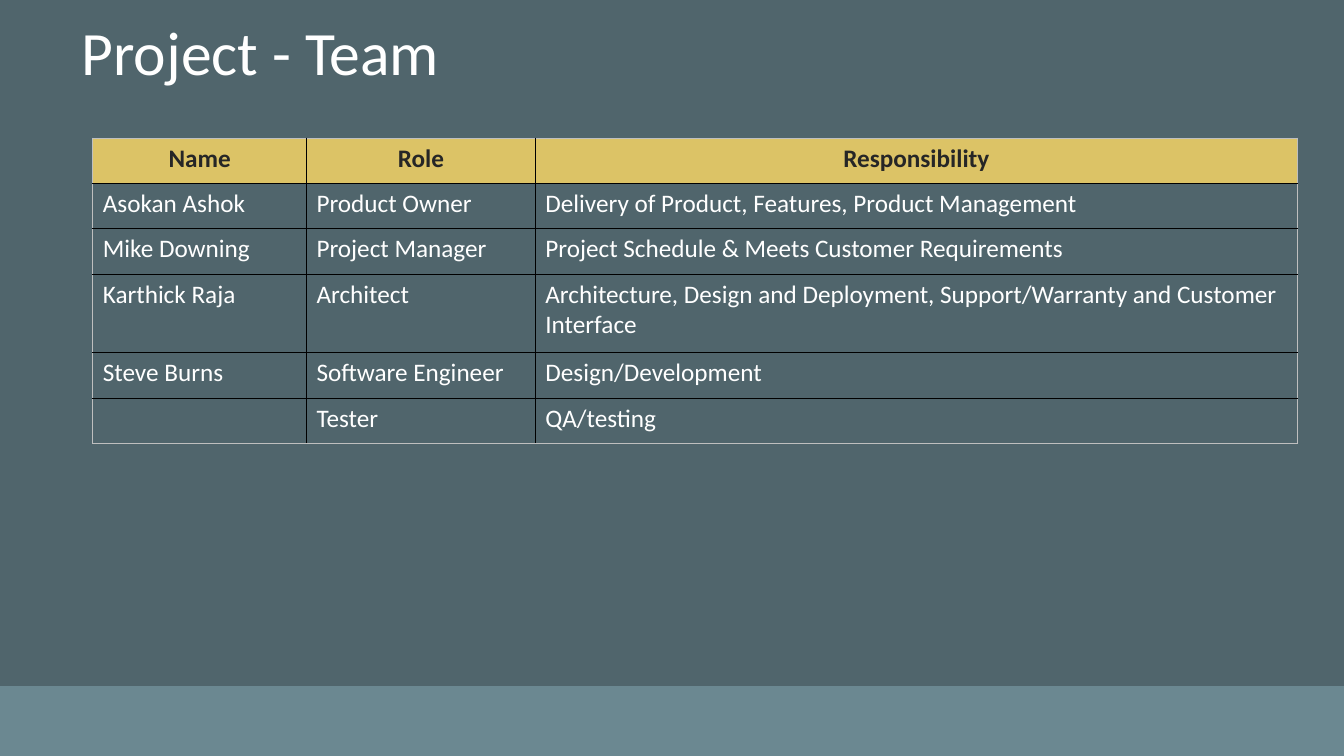
from lxml.etree import SubElement
from pptx import Presentation
from pptx.dml.color import RGBColor
from pptx.enum.shapes import MSO_SHAPE
from pptx.enum.text import MSO_ANCHOR, PP_ALIGN
from pptx.oxml.ns import qn
from pptx.util import Inches, Pt

COLORS = {
    "background": "50656C",
    "band": "6B8891",
    "header": "DCC366",
    "header_text": "262626",
    "text": "FFFFFF",
    "grid": "000000",
    "frame": "BFBFBF",
}
FONT = "Calibri"
COLUMN_WIDTHS = [2.12, 2.27, 7.56]
ROW_HEIGHTS = [0.45, 0.45, 0.45, 0.78, 0.45, 0.45]
TEAM = [
    ["Name", "Role", "Responsibility"],
    ["Asokan Ashok", "Product Owner", "Delivery of Product, Features, Product Management"],
    ["Mike Downing", "Project Manager", "Project Schedule & Meets Customer Requirements"],
    ["Karthick Raja", "Architect",
     "Architecture, Design and Deployment, Support/Warranty and Customer Interface"],
    ["Steve Burns", "Software Engineer", "Design/Development"],
    ["", "Tester", "QA/testing"],
]


def rgb(name):
    """Return the named colour."""
    return RGBColor.from_string(COLORS[name])


def set_text(tf, text, size=18, color="text", bold=False, align=PP_ALIGN.LEFT):
    """Write one formatted paragraph into a text frame."""
    p = tf.paragraphs[0]
    p.alignment = align
    p.font.size = Pt(size)
    if text:
        r = p.add_run()
        r.text = text
        r.font.name = FONT
        r.font.size = Pt(size)
        r.font.bold = bold
        r.font.color.rgb = rgb(color)


def set_border(cell, side, color):
    """Draw one border line of a cell."""
    ln = SubElement(cell._tc.get_or_add_tcPr(), qn(f"a:ln{side}"), w=str(Pt(1)))
    fill = SubElement(ln, qn("a:solidFill"))
    SubElement(fill, qn("a:srgbClr"), val=COLORS[color])


def add_title(s, text):
    """Place and format the slide title."""
    sp = s.shapes.title
    sp.left, sp.top = Inches(0.69), Inches(0.08)
    sp.width, sp.height = Inches(3.79), Inches(0.84)
    tf = sp.text_frame
    tf.word_wrap = False
    tf.vertical_anchor = MSO_ANCHOR.MIDDLE
    set_text(tf, text, size=44, align=PP_ALIGN.CENTER)


def add_band(s):
    """Add the band along the bottom edge."""
    sp = s.shapes.add_shape(MSO_SHAPE.FLOWCHART_PROCESS, 0, Inches(6.81),
                            Inches(13.33), Inches(0.69))
    sp.shadow.inherit = False
    sp.fill.solid()
    sp.fill.fore_color.rgb = rgb("band")
    sp.line.fill.background()


def format_cell(cell, text, header, edges):
    """Fill in one cell, with a pale line on the table's outer edges."""
    for side in "LRTB":
        set_border(cell, side, "frame" if edges[side] else "grid")
    if header:
        cell.fill.solid()
        cell.fill.fore_color.rgb = rgb("header")
        set_text(cell.text_frame, text, color="header_text", bold=True,
                 align=PP_ALIGN.CENTER)
    else:
        cell.fill.background()
        set_text(cell.text_frame, text)


def add_team_table(s):
    """Add the table of team members."""
    rows, cols = len(TEAM), len(COLUMN_WIDTHS)
    table = s.shapes.add_table(rows, cols, Inches(0.92), Inches(1.37),
                               Inches(sum(COLUMN_WIDTHS)),
                               Inches(sum(ROW_HEIGHTS))).table
    table.first_row = table.horz_banding = False
    for column, width in zip(table.columns, COLUMN_WIDTHS):
        column.width = Inches(width)
    for row, height in zip(table.rows, ROW_HEIGHTS):
        row.height = Inches(height)
    for i, member in enumerate(TEAM):
        for j, text in enumerate(member):
            edges = {"L": j == 0, "R": j == cols - 1, "T": i == 0, "B": i == rows - 1}
            format_cell(table.cell(i, j), text, i == 0, edges)


def main():
    """Build and save the slide."""
    prs = Presentation()
    prs.slide_width, prs.slide_height = Inches(13.33), Inches(7.5)
    s = prs.slides.add_slide(prs.slide_layouts[5])
    s.background.fill.solid()
    s.background.fill.fore_color.rgb = rgb("background")
    add_band(s)
    add_title(s, "Project - Team")
    add_team_table(s)
    prs.save("out.pptx")


if __name__ == "__main__":
    main()
